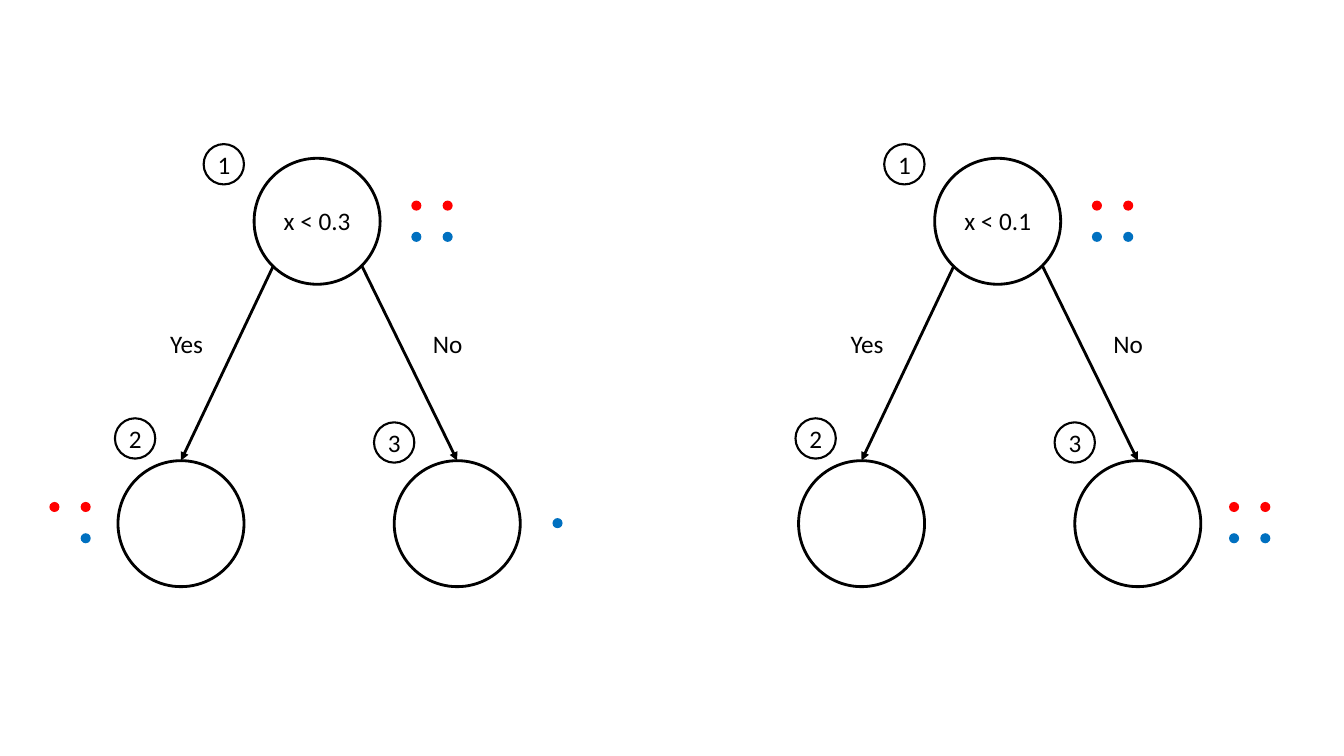
import pptx
import pptx.util
import pptx.dml.color
import pptx.enum.shapes
import pptx.enum.text
import pptx.oxml.ns
from lxml import etree

Inches = pptx.util.Inches
Pt = pptx.util.Pt
ALIGN = pptx.enum.text.PP_ALIGN
HUES = {"ink": "000000", "r": "FF0000", "b": "0070C0"}
FONT = {"name": "Calibri", "size": Pt(18)}
NODE = 1.25
BADGE = 0.4
DOT = 0.1
PITCH = 0.31
SHIFT = 6.75
TREES = [
    (0, "x < 0.3", [(4.08, 1.99, ("rr", "bb")),
                    (0.49, 4.98, ("rr", " b")),
                    (5.48, 5.14, ("b",))]),
    (SHIFT, "x < 0.1", [(4.08, 1.99, ("rr", "bb")),
                        (5.44, 4.98, ("rr", "bb"))]),
]


def color(key):
    """Return the named colour."""
    return pptx.dml.color.RGBColor.from_string(HUES[key])


def ring(slide, left, top, size, width):
    """Draw an open circle with a black outline."""
    oval = slide.shapes.add_shape(
        pptx.enum.shapes.MSO_SHAPE.OVAL,
        Inches(left), Inches(top), Inches(size), Inches(size))
    oval.shadow.inherit = False
    oval.fill.background()
    oval.line.color.rgb = color("ink")
    oval.line.width = Pt(width)
    return oval


def dots(slide, left, top, rows):
    """Draw a grid of sample dots, one letter per dot."""
    for row, keys in enumerate(rows):
        for col, key in enumerate(keys):
            if key == " ":
                continue
            dot = slide.shapes.add_shape(
                pptx.enum.shapes.MSO_SHAPE.OVAL,
                Inches(left + col * PITCH), Inches(top + row * PITCH),
                Inches(DOT), Inches(DOT))
            dot.shadow.inherit = False
            dot.fill.solid()
            dot.fill.fore_color.rgb = color(key)
            dot.line.fill.background()


def label(slide, text, left, top, width, wrap=True, align=ALIGN.CENTER):
    """Add one line of text."""
    box = slide.shapes.add_textbox(
        Inches(left), Inches(top), Inches(width), Inches(0.4))
    frame = box.text_frame
    frame.word_wrap = wrap
    frame.auto_size = pptx.enum.text.MSO_AUTO_SIZE.SHAPE_TO_FIT_TEXT
    para = frame.paragraphs[0]
    para.alignment = align
    run = para.add_run()
    run.text = text
    for name, value in FONT.items():
        setattr(run.font, name, value)
    run.font.color.rgb = color("ink")


def badge(slide, text, left, top):
    """Draw a numbered circle."""
    ring(slide, left, top, BADGE, 1.5)
    label(slide, text, left + 0.04, top, 0.33, False, ALIGN.LEFT)


def arrow(slide, left, top, child):
    """Draw an arrow from a point to the top of a child node."""
    line = slide.shapes.add_connector(
        pptx.enum.shapes.MSO_CONNECTOR.STRAIGHT,
        Inches(left), Inches(top), child.left, child.top)
    line.end_connect(child, 0)
    line.line.color.rgb = color("ink")
    line.line.width = Pt(2)
    qn = pptx.oxml.ns.qn
    etree.SubElement(line.line._get_or_add_ln(), qn("a:tailEnd"), type="triangle")
    etree.SubElement(line._element.spPr, qn("a:effectLst"))


def tree(slide, left, test, groups):
    """Draw one decision tree with its samples."""
    ring(slide, left + 2.52, 1.57, NODE, 2)
    label(slide, test, left + 2.52, 1.99, NODE)
    for start, end, word, place in [(2.71, 1.17, "Yes", 1.54),
                                    (3.59, 3.91, "No", 4.13)]:
        child = ring(slide, left + end, 4.57, NODE, 2)
        arrow(slide, left + start, 2.64, child)
        label(slide, word, left + place, 3.21, 0.62)
    for text, across, top in [("1", 2.02, 1.43), ("2", 1.14, 4.15),
                              ("3", 3.71, 4.19)]:
        badge(slide, text, left + across, top)
    for across, top, rows in groups:
        dots(slide, left + across, top, rows)


def main():
    """Build and save the slide."""
    deck = pptx.Presentation()
    deck.slide_width = Inches(13.33)
    deck.slide_height = Inches(7.5)
    slide = deck.slides.add_slide(deck.slide_layouts[6])
    for left, test, groups in TREES:
        tree(slide, left, test, groups)
    deck.save("out.pptx")


if __name__ == "__main__":
    main()
